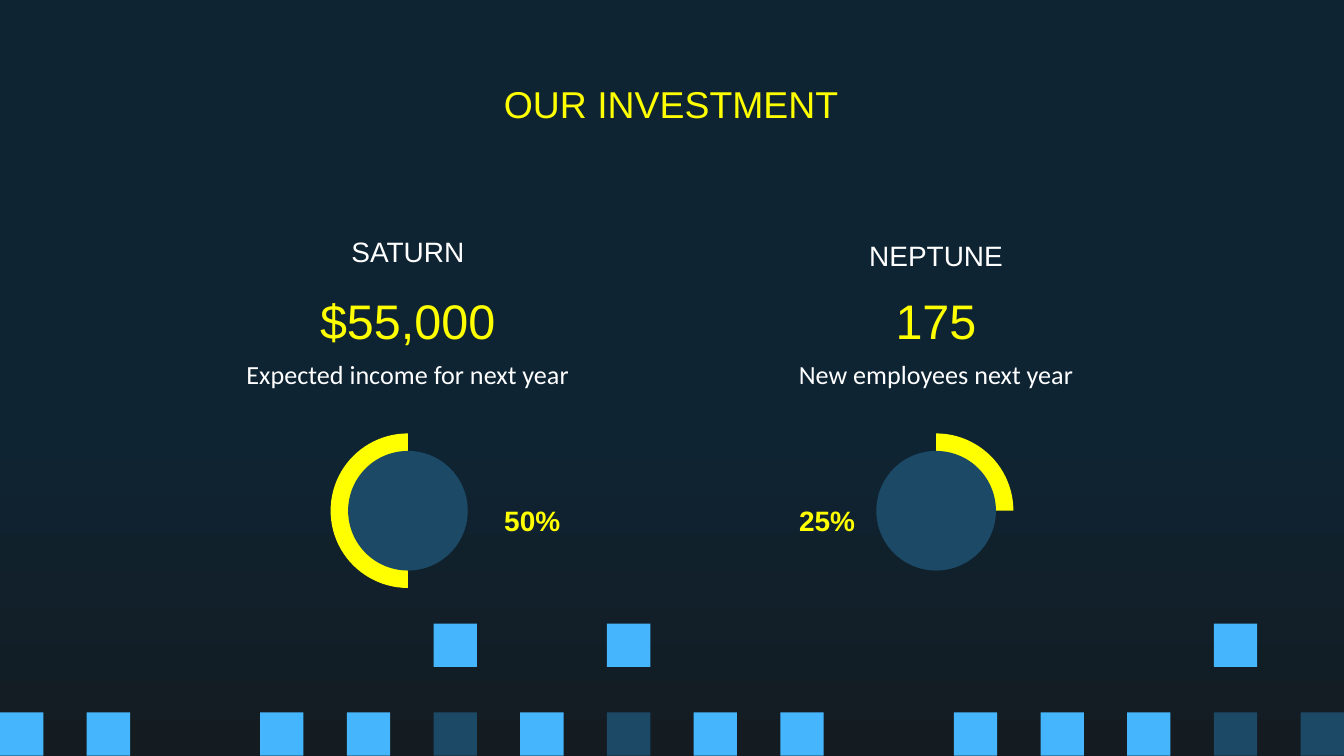
from dataclasses import dataclass

from pptx import Presentation
from pptx import util as u
from pptx.dml import color
from pptx.enum import shapes, text


@dataclass(frozen=True)
class Theme:
    night: str = "0E2433"
    dusk: str = "141C21"
    sky: str = "45B6FE"
    navy: str = "1C4966"
    yellow: str = "FFFF00"
    white: str = "FFFFFF"
    head: str = "Arial"
    body: str = "Calibri"
    title: int = 20
    figure: int = 26
    label: int = 15
    note: int = 14


T = Theme()
CENTER = text.PP_ALIGN.CENTER
RIGHT = text.PP_ALIGN.RIGHT
MIDDLE = text.MSO_ANCHOR.MIDDLE
TOP = text.MSO_ANCHOR.TOP

WIDTH = 10
HEIGHT = WIDTH * 9 / 16
PITCH = WIDTH / 15.5
TILE = PITCH / 2
TILE_ROWS = [
    (5.3, T.sky, (0, 1, 3, 4, 6, 8, 9, 11, 12, 13)),
    (5.3, T.navy, (5, 7, 14, 15)),
    (4.64, T.sky, (5, 7, 14)),
]
COLUMN_GAP = 3.93
COLUMNS = [
    dict(cx=(WIDTH - COLUMN_GAP) / 2, name="SATURN", name_top=1.61,
         figure="$55,000", note="Expected income for next year",
         arc=(54, 162), share="50%", share_left=3.5, align=CENTER),
    dict(cx=(WIDTH + COLUMN_GAP) / 2, name="NEPTUNE", name_top=1.64,
         figure="175", note="New employees next year",
         arc=(162, 0), share="25%", share_left=5.54, align=RIGHT),
]


def rgb(value):
    return color.RGBColor.from_string(value)


def set_attrs(obj, values):
    for key, value in values.items():
        setattr(obj, key, value)


def add_background(s):
    fill = s.background.fill
    fill.gradient()
    fill.gradient_angle = 270
    stops = ((0.56, T.night), (1, T.dusk))
    for stop, (position, value) in zip(fill.gradient_stops, stops):
        stop.position = position
        stop.color.rgb = rgb(value)


def add_solid(parent, kind, box, fill):
    sp = parent.shapes.add_shape(kind, *map(u.Inches, box))
    sp.shadow.inherit = False
    sp.fill.solid()
    sp.fill.fore_color.rgb = rgb(fill)
    sp.line.fill.background()
    return sp


def add_label(s, box, words, size, ink, face=T.head, bold=False,
              align=CENTER, anchor=MIDDLE, **spacing):
    tf = s.shapes.add_textbox(*map(u.Inches, box)).text_frame
    inset = u.Inches(0.1)
    set_attrs(tf, dict(word_wrap=True, vertical_anchor=anchor,
                       margin_left=inset, margin_right=inset,
                       margin_top=inset, margin_bottom=inset))
    p = tf.paragraphs[0]
    set_attrs(p, dict(alignment=align, **spacing))
    r = p.add_run()
    r.text = words
    set_attrs(r.font, dict(size=u.Pt(size), name=face, bold=bold))
    r.font.color.rgb = rgb(ink)


def add_tiles(s):
    for top, fill, slots in TILE_ROWS:
        for slot in slots:
            box = (slot * PITCH, top, TILE, TILE)
            add_solid(s, shapes.MSO_SHAPE.RECTANGLE, box, fill)


def add_dial(s, cx, cy, arc):
    group = s.shapes.add_group_shape()
    dials = ((shapes.MSO_SHAPE.PIE, 1.15, T.yellow),
             (shapes.MSO_SHAPE.OVAL, 0.89, T.navy))
    for kind, size, fill in dials:
        box = (cx - size / 2, cy - size / 2, size, size)
        sp = add_solid(group, kind, box, fill)
        if kind == shapes.MSO_SHAPE.PIE:
            sp.adjustments[0], sp.adjustments[1] = arc


def add_column(s, col):
    cx = col["cx"]
    add_label(s, (cx - 1.11, col["name_top"], 2.22, 0.42), col["name"],
              T.label, T.white, anchor=TOP,
              line_spacing=1.15, space_after=u.Pt(16))
    add_label(s, (cx - 1.5, 2.2, 3, 0.36), col["figure"], T.figure, T.yellow)
    add_label(s, (cx - 1.65, 2.57, 3.3, 0.48), col["note"],
              T.note, T.white, face=T.body, anchor=TOP)
    add_dial(s, cx, 3.8, col["arc"])
    add_label(s, (col["share_left"], 3.75, 0.92, 0.24), col["share"],
              T.label, T.yellow, bold=True, align=col["align"])


def main():
    prs = Presentation()
    set_attrs(prs, dict(slide_width=u.Inches(WIDTH),
                        slide_height=u.Inches(HEIGHT)))
    s = prs.slides.add_slide(prs.slide_layouts[6])
    add_background(s)
    add_tiles(s)
    add_label(s, (0.78, 0.59, 8.43, 0.36), "OUR INVESTMENT", T.title, T.yellow)
    for col in COLUMNS:
        add_column(s, col)
    prs.save("out.pptx")


if __name__ == "__main__":
    main()
